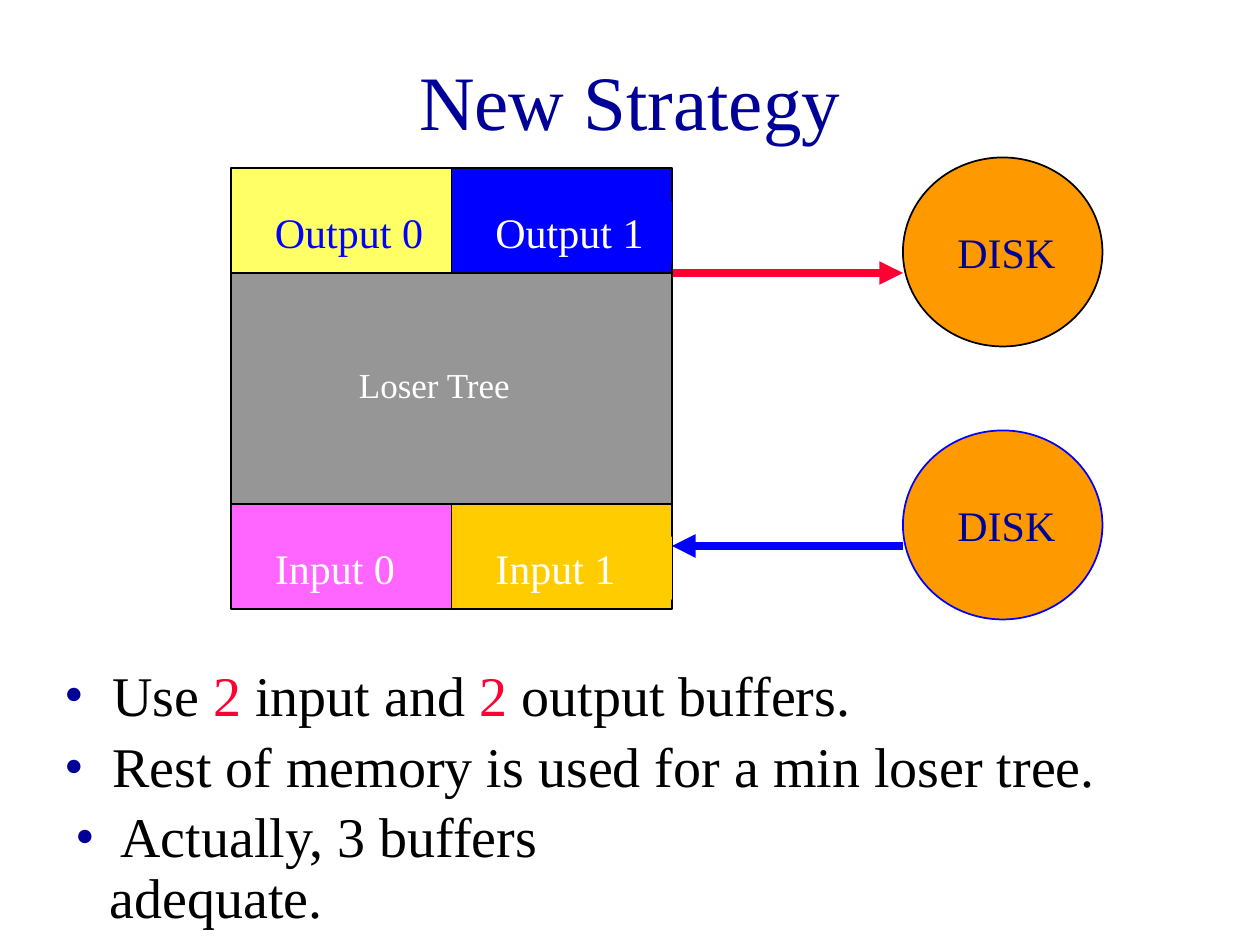
from dataclasses import dataclass

from lxml import etree
from pptx import Presentation
from pptx.dml.color import RGBColor
from pptx.enum.shapes import MSO_CONNECTOR, MSO_SHAPE
from pptx.enum.text import MSO_ANCHOR, PP_ALIGN
from pptx.oxml.ns import qn
from pptx.util import Emu, Pt

EMU_PER_PX = 9525  # 96 px to the inch
RECTANGLE, ELLIPSE = MSO_SHAPE.RECTANGLE, MSO_SHAPE.OVAL
STRAIGHT = MSO_CONNECTOR.STRAIGHT
MIDDLE, CENTER = MSO_ANCHOR.MIDDLE, PP_ALIGN.CENTER


@dataclass(frozen=True)
class Theme:
    font: str = "Times New Roman"
    navy: str = "000099"
    black: str = "000000"
    white: str = "FFFFFF"
    blue: str = "0000FF"
    red: str = "FF0033"
    disk: str = "FF9900"
    tree: str = "969696"
    yellow: str = "FFFF66"
    pink: str = "FF66FF"
    gold: str = "FFCC00"
    title_size: int = 44
    body_size: int = 32
    label_size: int = 24
    tree_size: int = 20


THEME = Theme()


def px(length):
    return Emu(length * EMU_PER_PX)


def color(value):
    return RGBColor.from_string(value)


def style_run(run, size, run_color):
    run.font.name = THEME.font
    run.font.size = Pt(size)
    run.font.color.rgb = color(run_color)


def add_text(slide, box, text, size, text_color, fill=None):
    """Add a wrapped one-paragraph text box."""
    shape = slide.shapes.add_textbox(*map(px, box))
    if fill:
        shape.fill.solid()
        shape.fill.fore_color.rgb = color(fill)
    frame = shape.text_frame
    frame.word_wrap = True
    frame.text = text
    style_run(frame.paragraphs[0].runs[0], size, text_color)
    return frame


def add_outlined(slide, kind, box, fill, line=THEME.black):
    shape = slide.shapes.add_shape(kind, *map(px, box))
    shape.shadow.inherit = False
    shape.fill.solid()
    shape.fill.fore_color.rgb = color(fill)
    shape.line.color.rgb = color(line)
    shape.line.width = Pt(1)


def add_buffer(slide, left, top, text, fill, text_color):
    add_outlined(slide, RECTANGLE, (left, top, 168, 80), fill)
    add_text(slide, (left + 24, top + 25, 144, 48), text,
             THEME.label_size, text_color, fill)


def add_disk(slide, top, line):
    add_outlined(slide, ELLIPSE, (688, top, 152, 144), THEME.disk, line)
    add_text(slide, (720, top + 48, 128, 48), "DISK",
             THEME.label_size, THEME.navy)


def add_arrow(slide, start, end, y, line_color):
    arrow = slide.shapes.add_connector(STRAIGHT, px(start), px(y), px(end), px(y))
    arrow.line.color.rgb = color(line_color)
    arrow.line.width = Pt(4.5)
    etree.SubElement(arrow.line._get_or_add_ln(), qn("a:tailEnd"), type="triangle")
    etree.SubElement(arrow._element.spPr, qn("a:effectLst"))


def add_bullets(slide, box, items, indent):
    """Each item is a list of (text, color) runs."""
    frame = slide.shapes.add_textbox(*map(px, box)).text_frame
    frame.word_wrap = True
    for index, runs in enumerate(items):
        paragraph = frame.add_paragraph() if index else frame.paragraphs[0]
        paragraph.line_spacing = 0.9
        if index:
            paragraph.space_before = Pt(6.4)
        properties = paragraph._p.get_or_add_pPr()
        properties.set("marL", str(px(indent)))
        properties.set("indent", str(-px(indent)))
        bullet_color = etree.SubElement(properties, qn("a:buClr"))
        etree.SubElement(bullet_color, qn("a:srgbClr"), val=THEME.navy)
        etree.SubElement(properties, qn("a:buFont"), typeface=THEME.font)
        etree.SubElement(properties, qn("a:buChar"), char="•")
        for text, run_color in runs:
            run = paragraph.add_run()
            run.text = text
            style_run(run, THEME.body_size, run_color)


def main():
    presentation = Presentation()
    presentation.slide_width, presentation.slide_height = px(960), px(720)
    slide = presentation.slides.add_slide(presentation.slide_layouts[6])

    # Disks and the transfers to and from memory
    add_disk(slide, 328, THEME.blue)
    add_arrow(slide, 688, 512, 416, THEME.blue)
    add_disk(slide, 120, THEME.black)
    add_arrow(slide, 512, 688, 208, THEME.red)

    # Title
    title = add_text(slide, (72, 16, 816, 120), "New Strategy",
                     THEME.title_size, THEME.navy)
    title.vertical_anchor = MIDDLE
    title.paragraphs[0].alignment = CENTER

    # Memory: output buffers, loser tree, input buffers
    buffers = [
        (176, 384, "Input 0", THEME.pink, THEME.white),
        (344, 384, "Input 1", THEME.gold, THEME.white),
        (176, 128, "Output 0", THEME.yellow, THEME.blue),
        (344, 128, "Output 1", THEME.blue, THEME.white),
    ]
    for buffer in buffers:
        add_buffer(slide, *buffer)
    add_outlined(slide, RECTANGLE, (176, 208, 336, 176), THEME.tree)
    add_text(slide, (264, 272, 176, 41), "Loser Tree",
             THEME.tree_size, THEME.white)

    # Notes below the diagram
    add_bullets(slide, (40, 504, 880, 120), [
        [("Use ", THEME.black), ("2", THEME.red), (" input and ", THEME.black),
         ("2", THEME.red), (" output buffers.", THEME.black)],
        [("Rest of memory is used for a min loser tree.", THEME.black)],
    ], indent=36)
    add_bullets(slide, (48, 612, 500, 56), [
        [(" Actually, 3 buffers adequate.", THEME.black)],
    ], indent=26)

    presentation.save("out.pptx")


if __name__ == "__main__":
    main()
